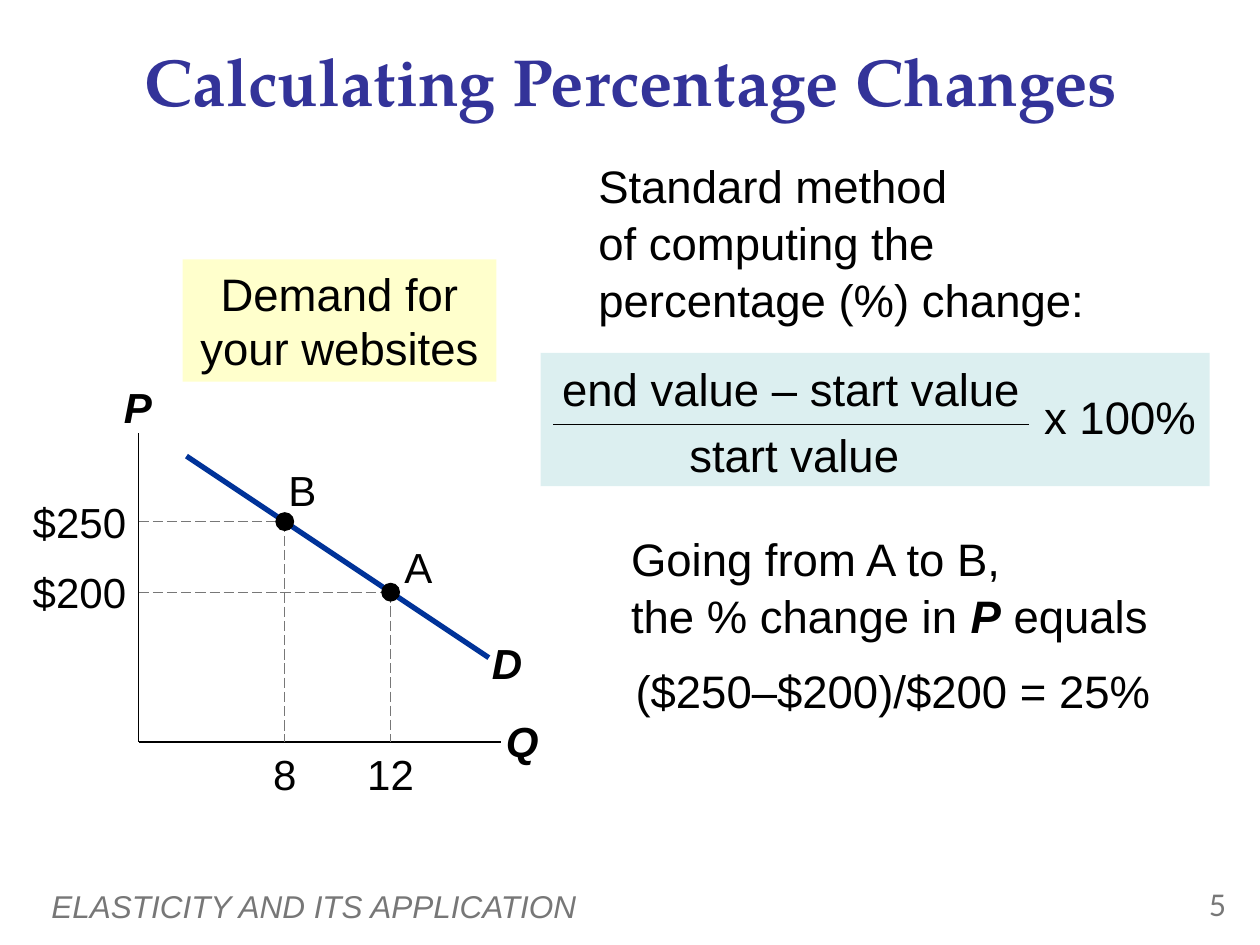
import pptx
import pptx.dml.color
import pptx.enum.dml
import pptx.enum.shapes
import pptx.enum.text
import pptx.oxml
import pptx.oxml.ns
import pptx.util
from pptx.util import Inches

ALIGN = pptx.enum.text.PP_ALIGN
ANCHOR = pptx.enum.text.MSO_ANCHOR
SHAPE = pptx.enum.shapes.MSO_SHAPE
NS = pptx.oxml.ns.nsdecls("a")

BLACK, GREY, NAVY, BLUE = "000000", "777777", "333399", "003399"
YELLOW, TEAL = "FFFFCC", "BBE0E3"
ORIGIN_X, ORIGIN_Y = 1.1, 5.89
DOT = 0.15


def rgb(hex_color):
    return pptx.dml.color.RGBColor.from_string(hex_color)


def write(s, lines, size=26, color=BLACK, font="Arial", bold=False, italic=False,
          align=ALIGN.CENTER, anchor=ANCHOR.TOP, spacing=None):
    """Fill one paragraph; a line is a string or a list of (text, emphasised) runs."""
    tf = s.text_frame
    tf.word_wrap = True
    tf.vertical_anchor = anchor
    p = tf.paragraphs[0]
    p.alignment = align
    if spacing:
        p.line_spacing = spacing
    p.font.name = font
    p.font.size = pptx.util.Pt(size)
    p.font.color.rgb = rgb(color)
    p.font.bold = bold
    p.font.italic = italic
    for i, line in enumerate(lines):
        if i:
            p.add_line_break()
        for text, emphasised in [(line, False)] if isinstance(line, str) else line:
            r = p.add_run()
            r.text = text
            if emphasised:
                r.font.bold = r.font.italic = True


def add_text(slide, x, y, w, h, *lines, **style):
    s = slide.shapes.add_textbox(Inches(x), Inches(y), Inches(w), Inches(h))
    write(s, lines, **style)


def add_filled(slide, kind, x, y, w, h, color, alpha=None):
    s = slide.shapes.add_shape(kind, Inches(x), Inches(y), Inches(w), Inches(h))
    s.shadow.inherit = False
    s.line.fill.background()
    s.fill.solid()
    s.fill.fore_color.rgb = rgb(color)
    if alpha:
        clr = s.fill._xPr.find(".//" + pptx.oxml.ns.qn("a:srgbClr"))
        clr.append(pptx.oxml.parse_xml(f'<a:alpha {NS} val="{alpha * 1000}"/>'))
    return s


def add_line(slide, x1, y1, x2, y2, color=BLACK, width=1, dashed=False):
    s = slide.shapes.add_connector(pptx.enum.shapes.MSO_CONNECTOR.STRAIGHT,
                                   Inches(x1), Inches(y1), Inches(x2), Inches(y2))
    s.line.color.rgb = rgb(color)
    s.line.width = pptx.util.Pt(width)
    if dashed:
        s.line.dash_style = pptx.enum.dml.MSO_LINE.LONG_DASH
    s._element.spPr.append(pptx.oxml.parse_xml(f"<a:effectLst {NS}/>"))


def add_point(slide, x, y, name, name_x, name_y, price, quantity):
    """Mark a point on the demand curve with guides to both axes."""
    add_text(slide, 0.1, y - 0.25, 1, 0.5, price, size=24, align=ALIGN.RIGHT)
    add_text(slide, x - 0.32, ORIGIN_Y, 0.64, 0.5, quantity, size=24)
    add_line(slide, ORIGIN_X, y, x, y, GREY, 0.75, dashed=True)
    add_line(slide, x, y, x, ORIGIN_Y, GREY, 0.75, dashed=True)
    add_text(slide, name_x, name_y, 0.42, 0.5, name, size=24)
    add_filled(slide, SHAPE.OVAL, x - DOT / 2, y - DOT / 2, DOT, DOT, BLACK)


def add_demand_graph(slide):
    add_line(slide, ORIGIN_X, 3.44, ORIGIN_X, ORIGIN_Y)
    add_line(slide, ORIGIN_X, ORIGIN_Y, 3.98, ORIGIN_Y)
    add_line(slide, 1.48, 3.62, 3.88, 5.22, BLUE, 3)
    for name, x, y in (("P", 0.76, 2.98), ("Q", 3.81, 5.63), ("D", 3.69, 5.01)):
        add_text(slide, x, y, 0.67, 0.5, name, size=24, bold=True, italic=True)
    add_point(slide, 2.26, 4.14, "B", 2.19, 3.64, "$250", "8")
    add_point(slide, 3.1, 4.7, "A", 3.11, 4.25, "$200", "12")
    s = add_filled(slide, SHAPE.RECTANGLE, 1.45, 2.06, 2.49, 0.97, YELLOW)
    write(s, ["Demand for your websites"])


def add_formula(slide):
    add_filled(slide, SHAPE.RECTANGLE, 4.29, 2.8, 5.31, 1.06, TEAL, alpha=50)
    add_text(slide, 4.17, 2.82, 4.22, 0.53, "end value – start value")
    add_text(slide, 5.26, 3.34, 2.09, 0.53, "start value")
    add_text(slide, 8.14, 3.04, 1.5, 0.53, "x 100%")
    add_line(slide, 4.39, 3.37, 8.17, 3.37, width=0.75)


def main():
    prs = pptx.Presentation()
    prs.slide_width, prs.slide_height = Inches(10), Inches(7.5)
    slide = prs.slides.add_slide(prs.slide_layouts[6])

    add_text(slide, 0.26, 0.28, 9.5, 0.71, "Calculating Percentage Changes", size=38,
             color=NAVY, font="TeX Gyre Pagella", bold=True, anchor=ANCHOR.MIDDLE)
    add_demand_graph(slide)
    add_text(slide, 4.65, 1.18, 4.31, 1.51, "Standard method",
             "of computing the percentage (%) change:", align=ALIGN.LEFT, spacing=1.05)
    add_formula(slide)
    add_text(slide, 4.91, 4.14, 4.31, 1.08, "Going from A to B,",
             [("the % change in ", False), ("P", True), (" equals", False)],
             align=ALIGN.LEFT, spacing=1.05)
    add_text(slide, 4.84, 5.21, 4.5, 0.53, "($250–$200)/$200 = 25%")
    add_text(slide, 0.31, 6.99, 8.02, 0.4, "ELASTICITY AND ITS APPLICATION", size=18,
             color=GREY, italic=True, align=ALIGN.LEFT, anchor=ANCHOR.MIDDLE)
    add_text(slide, 9.08, 6.99, 0.75, 0.4, "5", size=17, color=GREY, font="Lato",
             align=ALIGN.RIGHT)

    prs.save("out.pptx")


if __name__ == "__main__":
    main()
